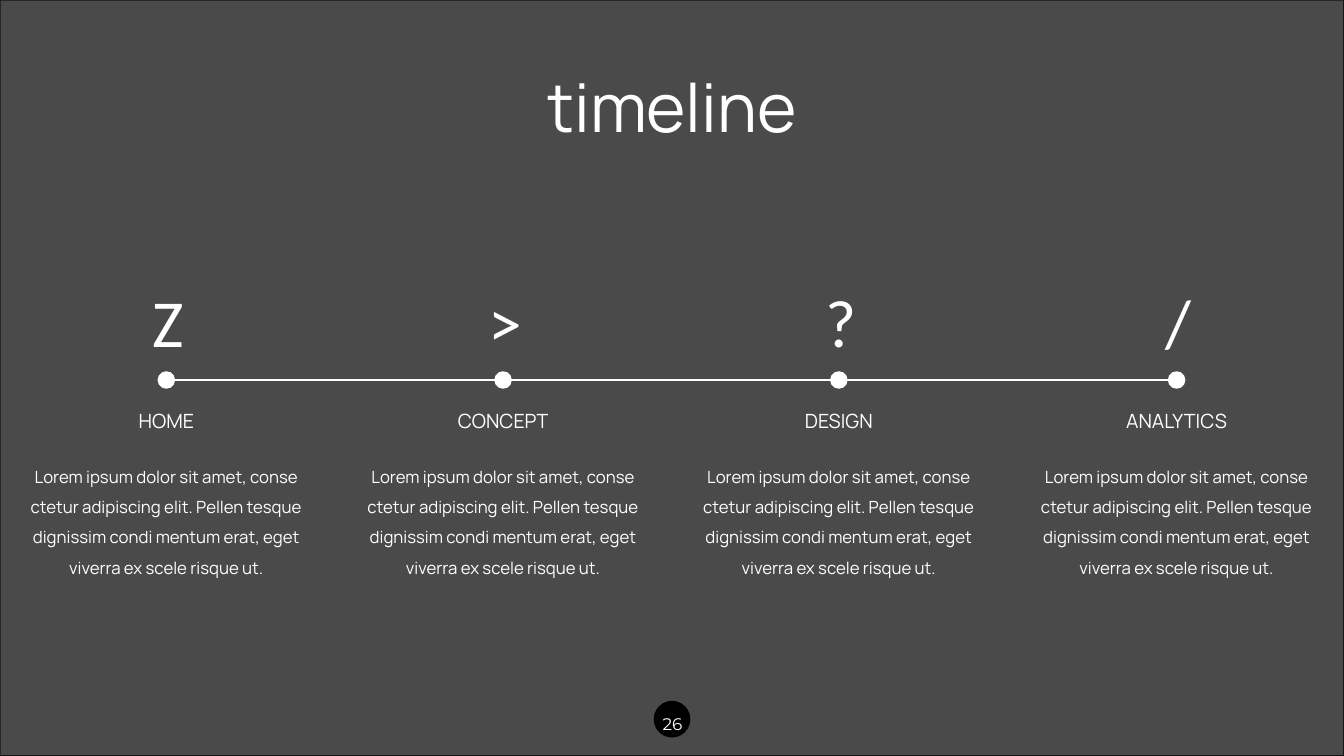
import pptx
import pptx.util
import pptx.dml.color
import pptx.enum.shapes
import pptx.enum.text
import pptx.oxml.ns
import pptx.oxml.xmlchemy
from pptx.util import Inches

SHAPES = pptx.enum.shapes.MSO_SHAPE


def paint(shape, color, opacity=None):
    shape.shadow.inherit = False
    shape.line.width = pptx.util.Pt(1)
    for fill in (shape.fill, shape.line.fill):
        fill.solid()
        fill.fore_color.rgb = pptx.dml.color.RGBColor.from_string(color)
    if opacity:
        for tone in shape._element.spPr.iter(pptx.oxml.ns.qn("a:srgbClr")):
            alpha = pptx.oxml.xmlchemy.OxmlElement("a:alpha")
            alpha.set("val", str(opacity * 1000))
            tone.append(alpha)


def write(box, text, size, font, spacing=1.0):
    frame = box.text_frame
    frame.word_wrap = True
    frame.auto_size = pptx.enum.text.MSO_AUTO_SIZE.NONE
    frame.vertical_anchor = pptx.enum.text.MSO_ANCHOR.TOP
    frame.text = text
    paragraph = frame.paragraphs[0]
    paragraph.alignment = pptx.enum.text.PP_ALIGN.CENTER
    paragraph.line_spacing = spacing
    paragraph.font.size = pptx.util.Pt(size)
    paragraph.font.name = font
    paragraph.font.color.rgb = pptx.dml.color.RGBColor.from_string("FFFFFF")


deck = pptx.Presentation()
deck.slide_width = Inches(13.33)
deck.slide_height = Inches(7.5)
slide = deck.slides.add_slide(deck.slide_layouts[5])
shapes = slide.shapes

title = shapes.title
title.left, title.top = Inches(4.98), Inches(0.6)
title.width, title.height = Inches(3.37), Inches(0.91)
write(title, "timeline", 48, "Manrope")

overlay = shapes.add_shape(SHAPES.RECTANGLE, 0, 0, deck.slide_width, deck.slide_height)
paint(overlay, "000000", 71)
title._element.addprevious(overlay._element)

page_disc = shapes.add_shape(SHAPES.OVAL, Inches(6.49), Inches(6.96), Inches(0.35), Inches(0.35))
paint(page_disc, "000000")
page_number = shapes.add_textbox(Inches(6.42), Inches(6.93), Inches(0.5), Inches(0.37))
write(page_number, "26", 12, "Montserrat", 1.5)

axis = shapes.add_connector(
    pptx.enum.shapes.MSO_CONNECTOR.STRAIGHT,
    Inches(1.73), Inches(3.77), Inches(11.66), Inches(3.77),
)
axis.line.width = pptx.util.Pt(1)
axis.line.color.rgb = pptx.dml.color.RGBColor.from_string("FFFFFF")
axis._element.spPr.append(pptx.oxml.xmlchemy.OxmlElement("a:effectLst"))

description = (
    "Lorem ipsum dolor sit amet, conse ctetur adipiscing elit. Pellen tesque "
    "dignissim condi mentum erat, eget viverra ex scele risque ut."
)
milestones = [
    (1.65, "Z", "HOME"),
    (4.99, ">", "CONCEPT"),
    (8.32, "?", "DESIGN"),
    (11.67, "/", "ANALYTICS"),
]
for center, symbol, heading in milestones:
    dot = shapes.add_shape(
        SHAPES.OVAL, Inches(center - 0.08), Inches(3.69), Inches(0.16), Inches(0.16)
    )
    paint(dot, "FFFFFF")
    for text, middle, top, width, height, size, font, spacing in (
        (symbol, center + 0.02, 2.73, 0.81, 0.91, 48, "Calibri", 1.0),
        (heading, center, 4.01, 1.48, 0.34, 14, "Manrope", 1.0),
        (description, center, 4.48, 3.03, 1.31, 12, "Manrope", 1.5),
    ):
        box = shapes.add_textbox(
            Inches(middle - width / 2), Inches(top), Inches(width), Inches(height)
        )
        write(box, text, size, font, spacing)

deck.save("out.pptx")
